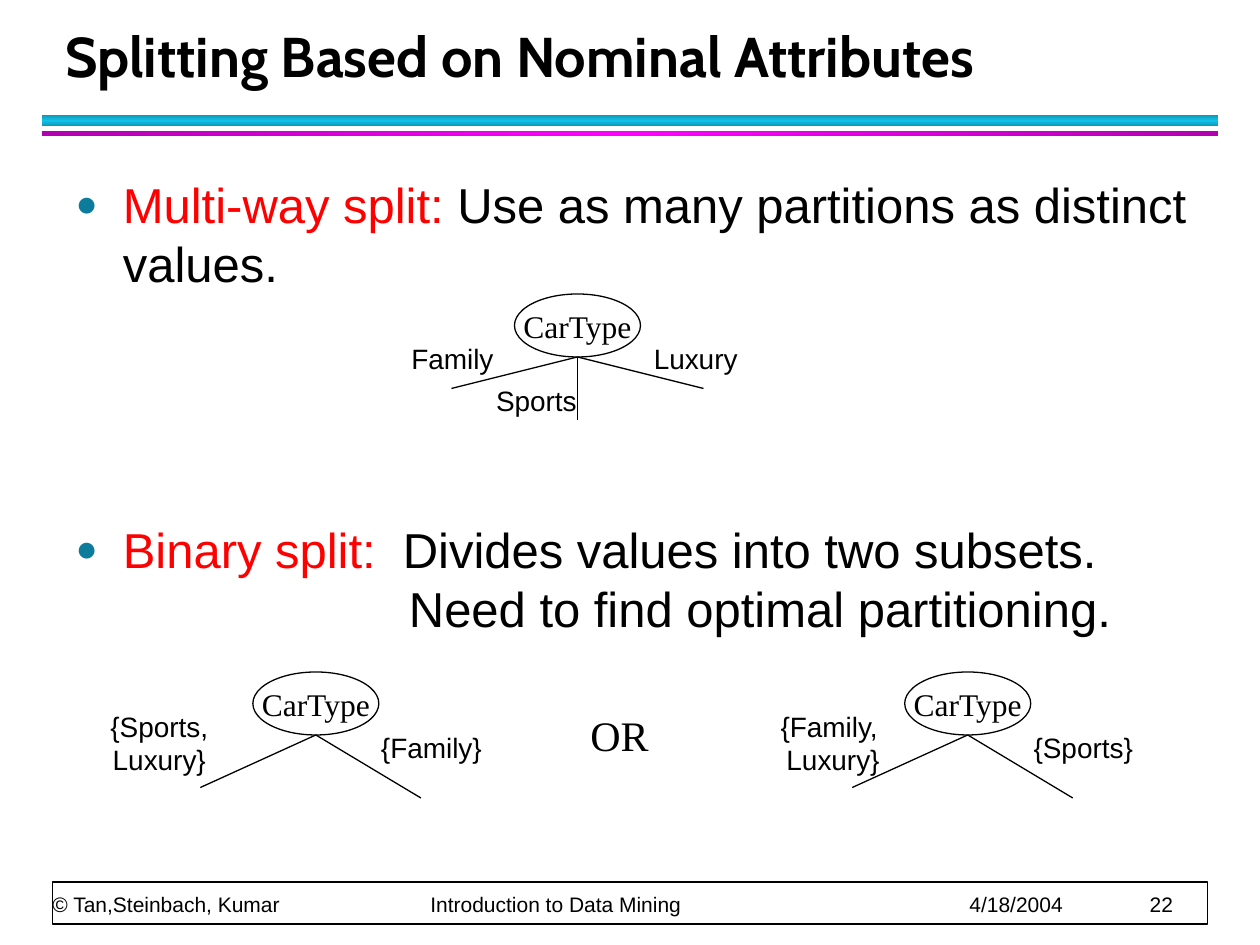
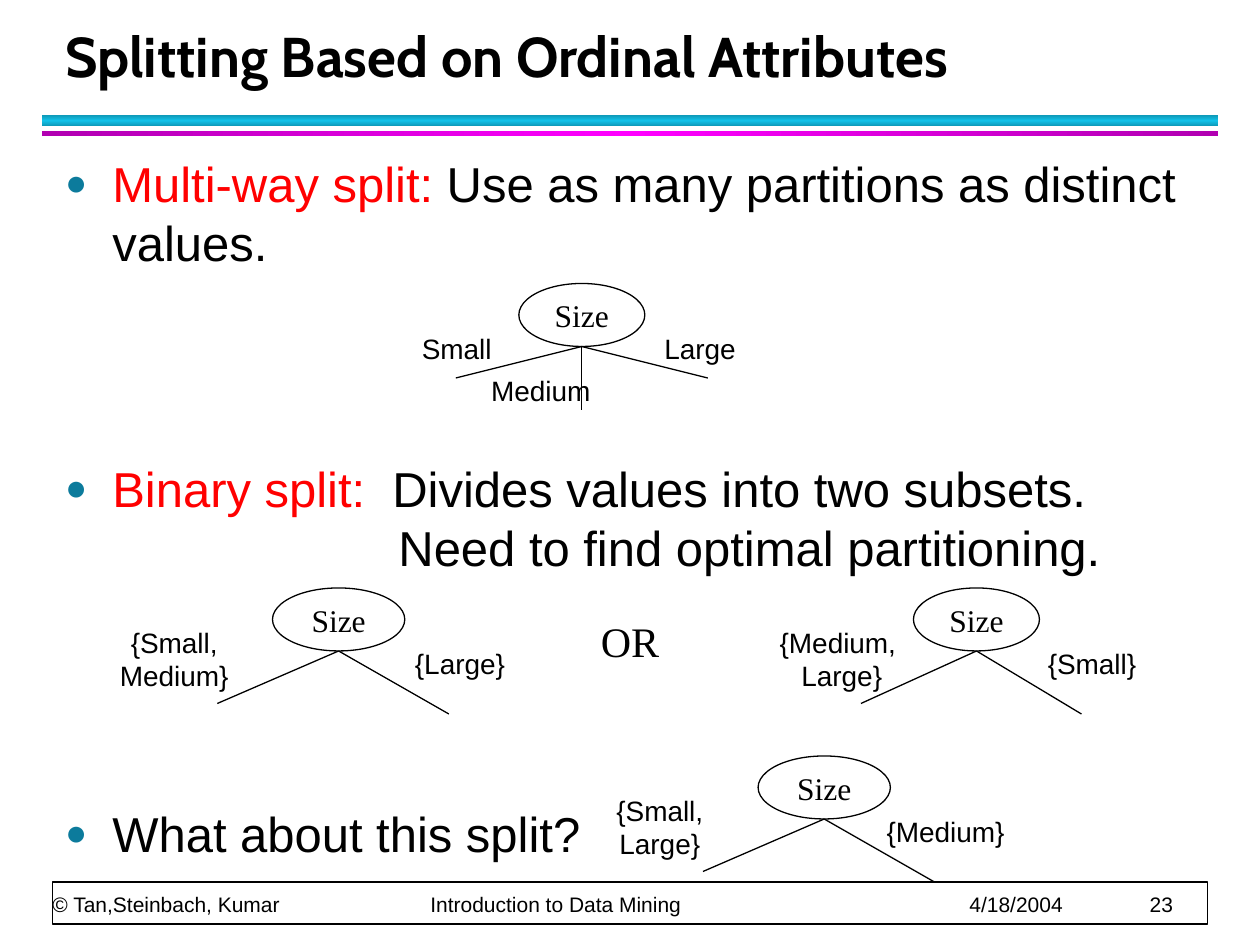
from copy import deepcopy

from lxml.etree import SubElement
from pptx import Presentation
from pptx.dml.color import RGBColor
from pptx.enum.shapes import MSO_CONNECTOR, MSO_SHAPE
from pptx.enum.text import MSO_ANCHOR, MSO_AUTO_SIZE, PP_ALIGN
from pptx.oxml.ns import qn
from pptx.util import Pt

# Shared style
BLACK, WHITE, RED = "000000", "FFFFFF", "FF0000"
BULLET = "0C7B9C"
CYAN_BAND = ("0E9AB9", "12C2E9", "0E9AB9")
MAGENTA_BAND = ("B100B1", "FF00FF", "B100B1")
SANS, SERIF, HEADING = "Arial", "Times New Roman", "Cabin"

# Branches run from the bottom of the node: line end, then label centre
MULTIWAY = [((-72, 18), (-71.5, 1)), ((0, 36), (-23.5, 25)), ((72, 18), (67.5, 1))]
BINARY_LEFT = [((-66, 30), (-89.5, 4.5)), ((60, 36), (66, 7))]
BINARY_RIGHT = [((-66, 30), (-77, 4.5)), ((60, 36), (66, 7))]


def rgb(hex_color):
    return RGBColor.from_string(hex_color)


def write(paragraph, text, font=SANS, size=16, color=BLACK, bold=False, align=None):
    """Add text to a paragraph; a newline becomes a line break."""
    if align is not None:
        paragraph.alignment = align
    for number, line in enumerate(text.split("\n")):
        if number:
            paragraph.add_line_break()
        run = paragraph.add_run()
        run.text = line
        run.font.name, run.font.size, run.font.bold = font, Pt(size), bold
        run.font.color.rgb = rgb(color)


def set_tabs(paragraph, stops):
    tabs = SubElement(paragraph._p.get_or_add_pPr(), qn("a:tabLst"))
    for stop in stops:
        SubElement(tabs, qn("a:tab"), pos=str(Pt(stop)), algn="l")


def set_bullet(paragraph, indent=27):
    properties = paragraph._p.get_or_add_pPr()
    properties.set("marL", str(Pt(indent)))
    properties.set("indent", str(-Pt(indent)))
    color = SubElement(properties, qn("a:buClr"))
    SubElement(color, qn("a:srgbClr"), val=BULLET)
    SubElement(properties, qn("a:buSzPct"), val="75000")
    SubElement(properties, qn("a:buFont"), typeface=SANS)
    SubElement(properties, qn("a:buChar"), char="●")


class Deck:
    def __init__(self):
        self.prs = Presentation()
        self.prs.slide_width, self.prs.slide_height = Pt(720), Pt(540)
        self.slide = None

    def new_slide(self, title, number):
        self.slide = self.prs.slides.add_slide(self.prs.slide_layouts[1])
        self.band(66, 6, CYAN_BAND, 90)
        self.band(75, 3, MAGENTA_BAND, 0)
        self.footer(number)
        self.title(title)

    def place(self, placeholder, left, top, width, height, anchor):
        placeholder.left, placeholder.top = Pt(left), Pt(top)
        placeholder.width, placeholder.height = Pt(width), Pt(height)
        frame = placeholder.text_frame
        frame.auto_size = MSO_AUTO_SIZE.NONE
        frame.vertical_anchor = anchor
        return frame

    def title(self, text):
        frame = self.place(self.slide.shapes.title, 30, 12.5, 678, 42, MSO_ANCHOR.BOTTOM)
        heading = frame.paragraphs[0]
        heading.line_spacing = Pt(36)
        write(heading, text, font=HEADING, size=32, bold=True, align=PP_ALIGN.LEFT)

    def bullets(self, left, top, height, items):
        """Each item is (space before, lead-in, explanation)."""
        frame = self.place(self.slide.placeholders[1], left, top, 660, height, MSO_ANCHOR.TOP)
        for number, (space, lead, explanation) in enumerate(items):
            item = frame.add_paragraph() if number else frame.paragraphs[0]
            item.space_before, item.space_after = Pt(space), Pt(4)
            set_bullet(item)
            set_tabs(item, (187, 190.5))
            if lead:
                write(item, lead, size=28, color=RED)
            write(item, explanation, size=28)

    def shape(self, kind, left, top, width, height, line=None):
        shape = self.slide.shapes.add_shape(kind, Pt(left), Pt(top), Pt(width), Pt(height))
        shape.shadow.inherit = False
        shape.fill.solid()
        shape.fill.fore_color.rgb = rgb(WHITE)
        if line:
            shape.line.color.rgb = rgb(BLACK)
            shape.line.width = Pt(line)
        else:
            shape.line.fill.background()
        return shape

    def band(self, top, height, colors, angle):
        band = self.shape(MSO_SHAPE.RECTANGLE, 24, top, 672, height)
        band.fill.gradient()
        band.fill.gradient_angle = angle
        stops = band.element.spPr.find(qn("a:gradFill")).find(qn("a:gsLst"))
        stops.append(deepcopy(stops[0]))
        for stop, color, position in zip(band.fill.gradient_stops, colors, (0, 0.5, 1)):
            stop.color.rgb = rgb(color)
            stop.position = position

    def footer(self, number):
        self.shape(MSO_SHAPE.RECTANGLE, 30, 504, 660, 24, line=1)
        box = self.slide.shapes.add_textbox(Pt(30), Pt(484), Pt(659), Pt(40))
        frame = box.text_frame
        frame.word_wrap = True
        frame.vertical_anchor = MSO_ANCHOR.BOTTOM
        frame.margin_left = frame.margin_right = frame.margin_top = frame.margin_bottom = 0
        credit = frame.paragraphs[0]
        credit.line_spacing = Pt(20)
        set_tabs(credit, (216, 524, 627))
        write(credit, f"© Tan,Steinbach, Kumar\tIntroduction to Data Mining\t4/18/2004\t{number}", size=12)

    def label(self, x, y, text, **style):
        """Put a text centred on the point (x, y)."""
        width, height = 110, 46
        box = self.slide.shapes.add_textbox(Pt(x - width / 2), Pt(y - height / 2), Pt(width), Pt(height))
        frame = box.text_frame
        frame.word_wrap = False
        frame.vertical_anchor = MSO_ANCHOR.MIDDLE
        write(frame.paragraphs[0], text, align=PP_ALIGN.CENTER, **style)

    def line(self, x1, y1, x2, y2):
        line = self.slide.shapes.add_connector(MSO_CONNECTOR.STRAIGHT, Pt(x1), Pt(y1), Pt(x2), Pt(y2))
        line.line.color.rgb = rgb(BLACK)
        line.line.width = Pt(0.75)
        SubElement(line.element.spPr, qn("a:effectLst"))

    def tree(self, x, y, attribute, branches, values, stretch=1):
        """Draw a split whose node has its bottom middle at (x, y)."""
        width, height = 72 * stretch, 36
        node = self.shape(MSO_SHAPE.OVAL, x - width / 2, y - height, width, height, line=0.75)
        frame = node.text_frame
        frame.word_wrap = False
        frame.vertical_anchor = MSO_ANCHOR.MIDDLE
        write(frame.paragraphs[0], attribute, font=SERIF, size=18, align=PP_ALIGN.CENTER)
        for ((end_x, end_y), (label_x, label_y)), value in zip(branches, values):
            self.line(x, y, x + end_x * stretch, y + end_y)
            self.label(x + label_x * stretch, y + label_y, value)


def main():
    deck = Deck()
    multiway = (3.5, "Multi-way split:", " Use as many partitions as distinct values.")
    binary = ("Binary split:", "\tDivides values into two subsets.\n\t\tNeed to find optimal partitioning.")

    # Nominal attributes
    deck.new_slide("Splitting Based on Nominal Attributes", 22)
    deck.bullets(36, 96, 294, [multiway, (126, *binary)])
    deck.tree(330, 204, "CarType", MULTIWAY, ("Family", "Sports", "Luxury"))
    deck.tree(553, 420, "CarType", BINARY_RIGHT, ("{Family, \nLuxury}", "{Sports}"))
    deck.tree(180.5, 420, "CarType", BINARY_LEFT, ("{Sports,\nLuxury}", "{Family}"))
    deck.label(354, 420, "OR", font=SERIF, size=24)

    # Ordinal attributes
    deck.new_slide("Splitting Based on Ordinal Attributes", 23)
    deck.bullets(30, 84, 414, [multiway, (103, *binary), (126, "", "What about this split?")])
    deck.tree(332.5, 198, "Size", MULTIWAY, ("Small", "Medium", "Large"))
    deck.tree(558, 372, "Size", BINARY_RIGHT, ("{Medium, \nLarge}", "{Small}"))
    deck.tree(193.5, 372, "Size", BINARY_LEFT, ("{Small,\nMedium}", "{Large}"), stretch=1.05)
    deck.label(360, 366, "OR", font=SERIF, size=24)
    deck.tree(471, 468, "Size", BINARY_LEFT, ("{Small,\nLarge}", "{Medium}"), stretch=1.05)

    deck.prs.save("out.pptx")


if __name__ == "__main__":
    main()
